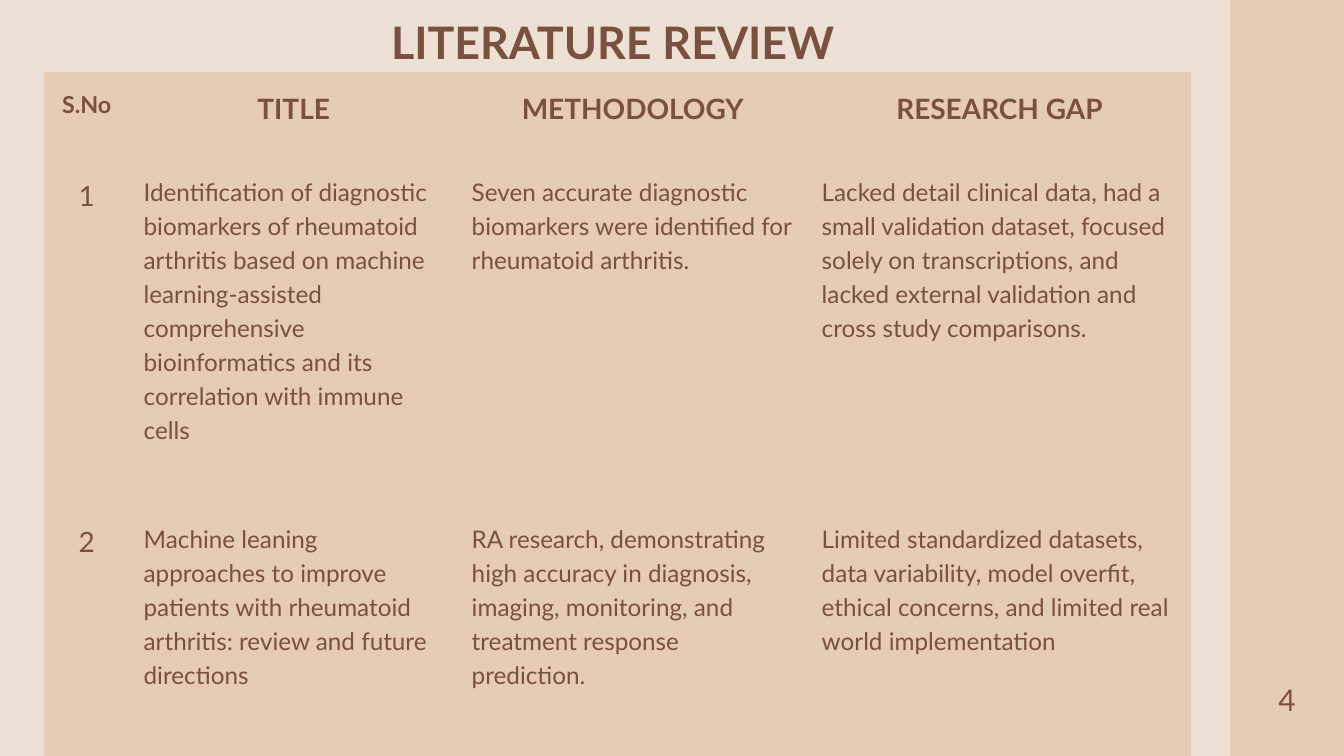
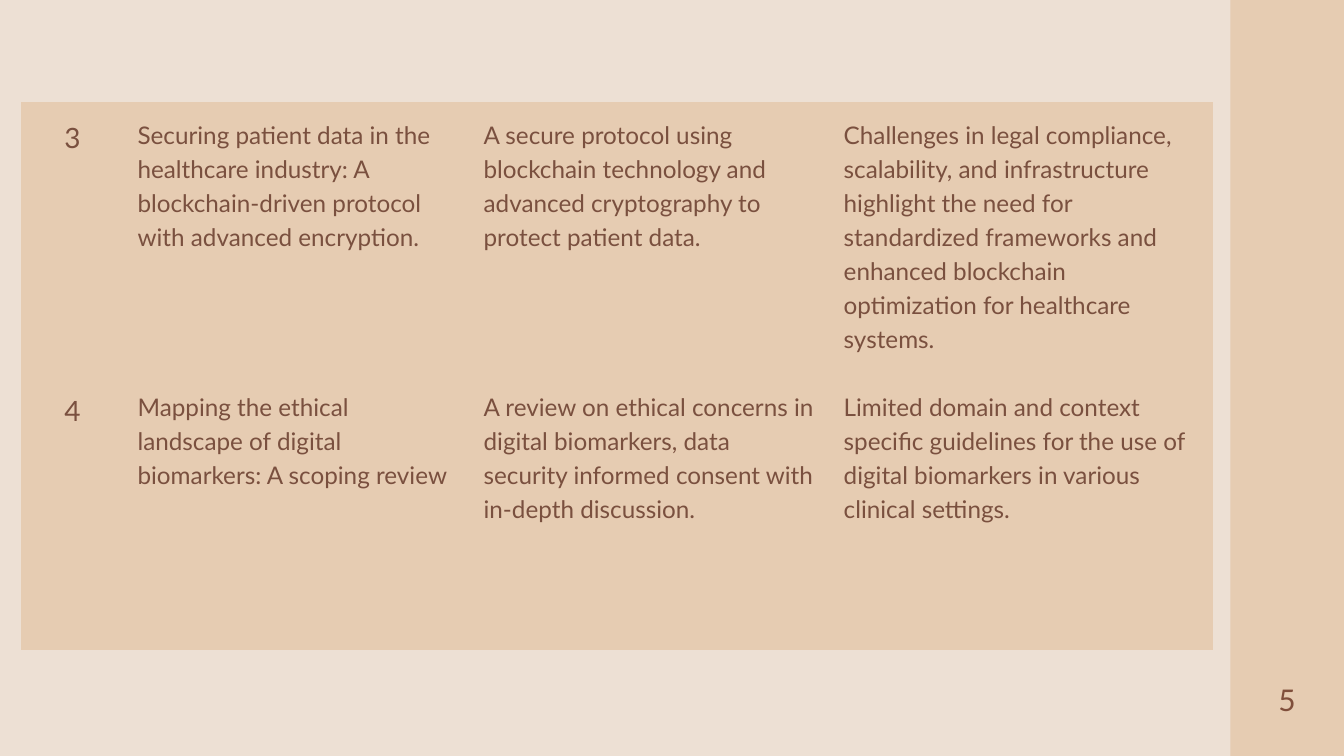
from lxml import etree
from pptx import Presentation
from pptx.dml.color import RGBColor
from pptx.enum.shapes import MSO_SHAPE
from pptx.enum.text import MSO_ANCHOR, MSO_AUTO_SIZE, PP_ALIGN
from pptx.oxml.ns import qn
from pptx.util import Cm, Pt

RECTANGLE = MSO_SHAPE.RECTANGLE
TOP = MSO_ANCHOR.TOP
NO_AUTOFIT = MSO_AUTO_SIZE.NONE
LEFT, CENTER = PP_ALIGN.LEFT, PP_ALIGN.CENTER

CREAM = RGBColor(0xED, 0xE0, 0xD4)
SAND = RGBColor(0xE6, 0xCC, 0xB2)
BROWN = RGBColor(0x7A, 0x50, 0x3F)
PAGE_BROWN = RGBColor(0x80, 0x4F, 0x3B)

FONT = "Lato"
LINE_RATIO = 1.4
SLIDE_WIDTH, SLIDE_HEIGHT = 50.8, 28.58
BAND_LEFT = 46.51
TITLE_ONLY, BLANK = 5, 6
MARGINS = ("margin_left", "margin_top", "margin_right", "margin_bottom")
BORDERS = ("a:lnL", "a:lnR", "a:lnT", "a:lnB")

HEADINGS = ("S.No", "TITLE", "METHODOLOGY", "RESEARCH GAP")
FIRST_STUDIES = (
    ("1",
     "Identification of diagnostic biomarkers of rheumatoid arthritis based on machine "
     "learning-assisted comprehensive bioinformatics and its correlation with immune cells",
     "Seven accurate diagnostic biomarkers were identified for rheumatoid arthritis.",
     "Lacked detail clinical data, had a small validation dataset, focused solely on "
     "transcriptions, and lacked external validation and cross study comparisons."),
    ("2",
     "Machine leaning approaches to improve patients with rheumatoid arthritis: review "
     "and future directions",
     "RA research, demonstrating high accuracy in diagnosis, imaging, monitoring, and "
     "treatment response prediction.",
     "Limited standardized datasets, data variability, model overfit, ethical concerns, "
     "and limited real world implementation"),
)
LATER_STUDIES = (
    ("3",
     "Securing patient data in the healthcare industry: A blockchain-driven protocol "
     "with advanced encryption.",
     "A secure protocol using blockchain technology and advanced cryptography to protect "
     "patient data.",
     "Challenges in legal compliance, scalability, and infrastructure highlight the need "
     "for standardized frameworks and enhanced blockchain optimization for healthcare "
     "systems."),
    ("4",
     "Mapping the ethical landscape of digital biomarkers: A scoping review",
     "A review on ethical concerns in digital biomarkers, data security informed consent "
     "with in-depth discussion.",
     "Limited domain and context specific guidelines for the use of digital biomarkers in "
     "various clinical settings."),
)


def set_all(target, values):
    for name, value in values.items():
        setattr(target, name, value)


class ReviewDeck:
    """Holds the shared style and the slide being built."""

    def __init__(self):
        self.prs = Presentation()
        set_all(self.prs, {"slide_width": Cm(SLIDE_WIDTH), "slide_height": Cm(SLIDE_HEIGHT)})
        background = self.prs.slide_master.background.fill
        background.solid()
        background.fore_color.rgb = CREAM
        self.slide = None

    def start_slide(self, layout):
        self.slide = self.prs.slides.add_slide(self.prs.slide_layouts[layout])
        band = self.slide.shapes.add_shape(
            RECTANGLE, Cm(BAND_LEFT), 0, Cm(SLIDE_WIDTH - BAND_LEFT), Cm(SLIDE_HEIGHT))
        band.shadow.inherit = False
        band.fill.solid()
        band.fill.fore_color.rgb = SAND
        band.line.fill.background()

    def put_text(self, frame, text, size, align=LEFT, bold=False, color=BROWN):
        frame.text = text
        paragraph = frame.paragraphs[0]
        set_all(paragraph, {"alignment": align, "line_spacing": Pt(size * LINE_RATIO),
                            "space_before": Pt(0)})
        font = paragraph.runs[0].font
        set_all(font, {"name": FONT, "size": Pt(size), "bold": bold})
        font.color.rgb = color

    def clear_frame(self, frame):
        """Remove insets and pin the text to the top of its box."""
        set_all(frame, dict.fromkeys(MARGINS, 0))
        set_all(frame, {"word_wrap": True, "auto_size": NO_AUTOFIT, "vertical_anchor": TOP})

    def title(self, text):
        title = self.slide.shapes.title
        set_all(title, {"left": Cm(14.78), "top": Cm(0.23),
                        "width": Cm(19.02), "height": Cm(2.26)})
        self.clear_frame(title.text_frame)
        self.put_text(title.text_frame, text, 48, bold=True)

    def page_number(self, number):
        box = self.slide.shapes.add_textbox(Cm(47.57), Cm(25.55), Cm(2.16), Cm(3.02))
        self.clear_frame(box.text_frame)
        self.put_text(box.text_frame, str(number), 32, CENTER, color=PAGE_BROWN)

    def style_cell(self, cell):
        properties = cell._tc.get_or_add_tcPr()
        for border in BORDERS:
            line = etree.SubElement(properties, qn(border), w="0")
            etree.SubElement(line, qn("a:noFill"))
        cell.fill.solid()
        cell.fill.fore_color.rgb = SAND
        set_all(cell, dict.fromkeys(MARGINS, Cm(0.53)))
        cell.vertical_anchor = TOP

    def study_table(self, left, top, widths, heights, studies, headings=None):
        rows = ((headings,) if headings else ()) + studies
        table = self.slide.shapes.add_table(
            len(rows), len(widths), Cm(left), Cm(top),
            Cm(sum(widths)), Cm(sum(heights))).table
        set_all(table, {"first_row": bool(headings), "horz_banding": False})
        for column, width in zip(table.columns, widths):
            column.width = Cm(width)
        for row, height, texts in zip(table.rows, heights, rows):
            row.height = Cm(height)
            is_heading = texts is headings
            for index, (cell, text) in enumerate(zip(row.cells, texts)):
                self.style_cell(cell)
                if is_heading:
                    size = 30 if index else 25
                else:
                    size = 26 if index else 30
                align = CENTER if is_heading or index == 0 else LEFT
                self.put_text(cell.text_frame, text, size, align, is_heading)


def main():
    deck = ReviewDeck()

    deck.start_slide(TITLE_ONLY)
    deck.study_table(1.65, 2.72, (3.25, 12.4, 13.23, 14.5), (3.28, 13.11, 9.47),
                     FIRST_STUDIES, HEADINGS)
    deck.page_number(4)
    deck.title("LITERATURE REVIEW")

    deck.start_slide(BLANK)
    deck.study_table(0.81, 3.84, (3.86, 13.08, 13.61, 14.5), (10.29, 10.46), LATER_STUDIES)
    deck.page_number(5)

    deck.prs.save("out.pptx")


if __name__ == "__main__":
    main()
